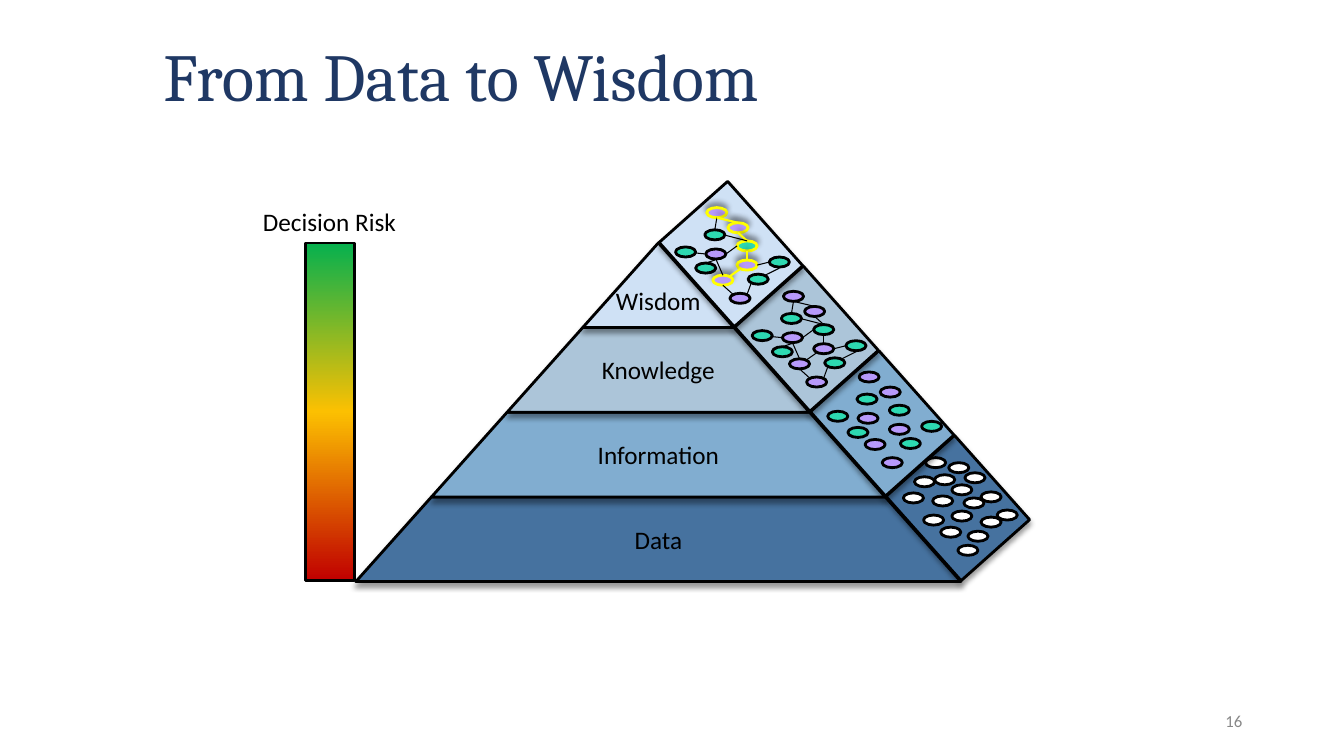
"""Build the slide "From Data to Wisdom": a layered pyramid with node tiles and a risk scale."""
import lxml.etree
import pptx
import pptx.dml.color
import pptx.enum.shapes
import pptx.enum.text
import pptx.oxml.ns
import pptx.util

SHAPE = pptx.enum.shapes.MSO_SHAPE
ALIGN = pptx.enum.text.PP_ALIGN
ANCHOR = pptx.enum.text.MSO_ANCHOR
qn = pptx.oxml.ns.qn

TITLE, RISK, NUMBER = "From Data to Wisdom", "Decision Risk", "16"
COLORS = {
    "title": "1F3864", "number": "888888", "black": "000000",
    "raw": "FFFFFF", "teal": "2DD9B1", "violet": "B799FB", "glow": "FFFF00",
    "Wisdom": "CFE1F5", "Knowledge": "ACC5D9", "Information": "81ADD0", "Data": "46729F",
}
RISK_STOPS = [(0, "05B04E"), (50, "FCC001"), (100, "C00000")]
LEVELS = ["Wisdom", "Knowledge", "Information", "Data"]

APEX_X, APEX_Y = 6.53, 2.41
LEVEL_H, LEVEL_HALF_W = 0.84, 0.75
TILE_X, TILE_Y, TILE_W, TILE_H, TILE_ROT = 7.25, 2.52, 0.91, 1.12, 318.3
DOT_W, DOT_H = 0.2, 0.1

NODE_SHIFT = {"Wisdom": (-0.76, -0.83), "Knowledge": (0, 0), "Information": (0.75, 0.8)}
NODES = [
    (7.75, 3.11, "teal", False), (7.66, 3.44, "teal", False),
    (7.83, 3.56, "violet", True), (8.39, 3.38, "teal", False),
    (8.18, 3.55, "teal", False), (8.0, 3.74, "violet", False),
    (8.07, 3.41, "violet", True), (7.98, 3.04, "violet", True),
    (7.76, 3.3, "violet", False), (8.07, 3.22, "teal", True),
    (7.77, 2.89, "violet", True), (7.46, 3.28, "teal", False),
]
EDGES = [
    (8.17, 3.75, 8.21, 3.64, False), (8.03, 3.75, 7.93, 3.66, False),
    (8.0, 3.57, 8.1, 3.5, True), (8.35, 3.56, 8.49, 3.49, False),
    (8.27, 3.46, 8.39, 3.43, False), (8.17, 3.41, 8.17, 3.32, True),
    (7.93, 3.56, 7.86, 3.4, False), (7.85, 3.41, 7.76, 3.44, False),
    (7.96, 3.35, 8.07, 3.27, False), (8.17, 3.22, 8.08, 3.14, True),
    (8.17, 3.22, 7.94, 3.16, False), (7.76, 3.35, 7.66, 3.34, False),
    (7.85, 3.11, 7.87, 2.99, False), (8.08, 3.04, 7.87, 2.99, True),
]
RAW_DOTS = [
    (8.96, 4.89), (9.27, 4.71), (9.25, 4.92), (9.44, 4.81), (9.57, 4.69), (9.73, 4.88),
    (9.18, 4.54), (9.07, 4.73), (9.41, 4.59), (9.16, 5.11), (9.33, 5.23), (9.44, 5.07),
    (9.56, 4.94), (9.73, 5.13), (9.89, 5.06), (9.6, 5.27), (9.5, 5.41),
]


def inch(value):
    return pptx.util.Cm(value * 2.54)


def rgb(name):
    return pptx.dml.color.RGBColor.from_string(COLORS[name])


def outline(sp, color="black", width=2, shadow=None):
    sp.line.color.rgb = rgb(color)
    sp.line.width = pptx.util.Pt(width)
    effects = lxml.etree.SubElement(sp.element.spPr, qn("a:effectLst"))
    if shadow is not None:
        outer = lxml.etree.SubElement(
            effects, qn("a:outerShdw"), blurRad=str(pptx.util.Pt(4)),
            dist=str(pptx.util.Pt(3)), dir=str(shadow * 60000), rotWithShape="0")
        tint = lxml.etree.SubElement(outer, qn("a:srgbClr"), val=COLORS["black"])
        lxml.etree.SubElement(tint, qn("a:alpha"), val="40000")


def add_filled(shapes, kind, x, y, w, h, fill, **style):
    sp = shapes.add_shape(kind, inch(x), inch(y), inch(w), inch(h))
    sp.fill.solid()
    sp.fill.fore_color.rgb = rgb(fill)
    outline(sp, **style)
    return sp


def write(sp, text, size, color="black", font="Calibri", align=ALIGN.LEFT, anchor=ANCHOR.MIDDLE):
    tf = sp.text_frame
    tf.text = text
    tf.word_wrap = True
    tf.vertical_anchor = anchor
    p = tf.paragraphs[0]
    p.alignment = align
    r = p.runs[0]
    r.font.size = pptx.util.Pt(size)
    r.font.name = font
    r.font.color.rgb = rgb(color)
    return tf


def add_level(shapes, i, name):
    top, bottom = APEX_Y + i * LEVEL_H, APEX_Y + (i + 1) * LEVEL_H
    upper, lower = i * LEVEL_HALF_W, (i + 1) * LEVEL_HALF_W
    corners = [(APEX_X + upper, top), (APEX_X + lower, bottom), (APEX_X - lower, bottom)]
    builder = shapes.build_freeform(inch(APEX_X - upper), inch(top))
    builder.add_line_segments([(inch(x), inch(y)) for x, y in corners[0 if i else 1:]])
    sp = builder.convert_to_shape()
    sp.fill.solid()
    sp.fill.fore_color.rgb = rgb(name)
    outline(sp, shadow=90)
    tf = write(sp, name, 18, align=ALIGN.CENTER)
    if i == 0:
        tf.margin_top = inch(0.36)


def add_tile(shapes, i, name):
    x, y = TILE_X + i * LEVEL_HALF_W - TILE_W / 2, TILE_Y + i * LEVEL_H - TILE_H / 2
    sp = add_filled(shapes, SHAPE.RECTANGLE, x, y, TILE_W, TILE_H, name, shadow=90)
    sp.rotation = TILE_ROT


def add_nodes(shapes, name):
    dx, dy = NODE_SHIFT[name]
    for x, y, color, on_route in NODES:
        lit = on_route and name == "Wisdom"
        style = {"color": "glow", "shadow": 270} if lit else {}
        add_filled(shapes, SHAPE.OVAL, x + dx, y + dy, DOT_W, DOT_H, color, **style)
    if name == "Information":
        return
    for x1, y1, x2, y2, on_route in EDGES:
        lit = on_route and name == "Wisdom"
        style = {"color": "glow", "width": 1.5, "shadow": 270} if lit else {"width": 0.75}
        edge = shapes.add_connector(
            pptx.enum.shapes.MSO_CONNECTOR.STRAIGHT,
            inch(x1 + dx), inch(y1 + dy), inch(x2 + dx), inch(y2 + dy))
        outline(edge, **style)


def add_risk_scale(shapes):
    sp = shapes.add_shape(SHAPE.RECTANGLE, inch(3.03), inch(2.41), inch(0.49), inch(3.35))
    sp.fill.gradient()
    sp.fill.gradient_angle = 270
    stops = sp.element.spPr.find(".//" + qn("a:gsLst"))
    stops.clear()
    for percent, color in RISK_STOPS:
        stop = lxml.etree.SubElement(stops, qn("a:gs"), pos=str(percent * 1000))
        lxml.etree.SubElement(stop, qn("a:srgbClr"), val=color)
    outline(sp)
    label = shapes.add_textbox(inch(2.51), inch(2), inch(1.54), inch(0.4))
    write(label, RISK, 18, anchor=ANCHOR.TOP).word_wrap = False


def main():
    prs = pptx.Presentation()
    prs.slide_width, prs.slide_height = inch(13.33), inch(7.5)
    slide = prs.slides.add_slide(prs.slide_layouts[5])
    shapes = slide.shapes

    title = shapes.title
    title.left, title.top, title.width, title.height = map(inch, (1.52, 0.07, 10.17, 1.45))
    tf = write(title, TITLE, 48, "title", "Cambria")
    tf.auto_size = pptx.enum.text.MSO_AUTO_SIZE.NONE
    tf.paragraphs[0].line_spacing = 0.9

    number = shapes.add_textbox(inch(9.42), inch(6.95), inch(3), inch(0.4))
    write(number, NUMBER, 12, "number", align=ALIGN.RIGHT)

    add_risk_scale(shapes)
    levels = list(enumerate(LEVELS))[::-1]
    for i, name in levels:
        add_level(shapes, i, name)
    for i, name in levels:
        add_tile(shapes, i, name)
        if name in NODE_SHIFT:
            add_nodes(shapes, name)
        else:
            for x, y in RAW_DOTS:
                add_filled(shapes, SHAPE.OVAL, x, y, DOT_W, DOT_H, "raw")

    prs.save("out.pptx")


if __name__ == "__main__":
    main()
